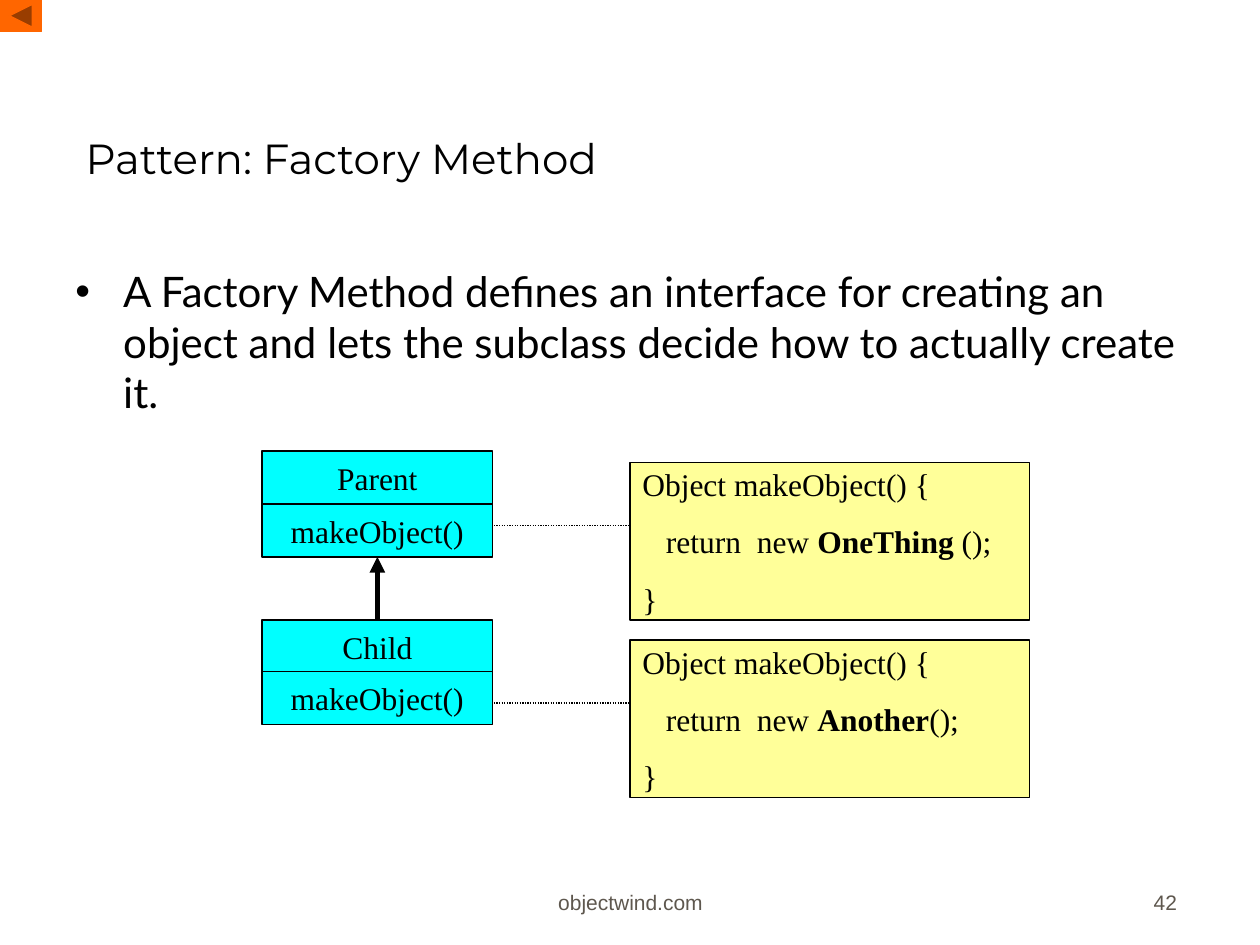
from lxml.etree import SubElement
from pptx import Presentation
from pptx.dml.color import RGBColor
from pptx.enum.dml import MSO_LINE
from pptx.enum.shapes import MSO_CONNECTOR, MSO_SHAPE
from pptx.enum.text import MSO_ANCHOR, MSO_AUTO_SIZE, PP_ALIGN
from pptx.oxml.ns import qn
from pptx.util import Inches, Pt

COLORS = {name: RGBColor.from_string(value) for name, value in {
    "ink": "000000", "class": "00FFFF", "note": "FFFF99",
    "button": "FF6600", "footer": "5E574E"}.items()}


def write(shape, lines, font, size, color="ink", align=PP_ALIGN.LEFT,
          anchor=MSO_ANCHOR.MIDDLE, gap=0):
    """Fill a shape with lines, each a list of (text, bold) runs."""
    frame = shape.text_frame
    frame_format = {"word_wrap": True, "auto_size": MSO_AUTO_SIZE.NONE,
                    "vertical_anchor": anchor}
    for name, value in frame_format.items():
        setattr(frame, name, value)
    for index, runs in enumerate(lines):
        paragraph = frame.add_paragraph() if index else frame.paragraphs[0]
        paragraph.alignment = align
        if index:
            paragraph.space_before = Pt(gap)
        for text, bold in runs:
            run = paragraph.add_run()
            run.text = text
            run_format = {"name": font, "size": Pt(size), "bold": bold}
            for name, value in run_format.items():
                setattr(run.font, name, value)
            run.font.color.rgb = COLORS[color]


def add_block(kind, left, top, width, height, fill, line="ink", weight=0.75):
    block = slide.shapes.add_shape(
        kind, Inches(left), Inches(top), Inches(width), Inches(height))
    block.shadow.inherit = False
    block.fill.solid()
    block.fill.fore_color.rgb = COLORS[fill]
    block.line.color.rgb = COLORS[line]
    block.line.width = Pt(weight)
    return block


prs = Presentation()
prs.slide_width, prs.slide_height = Inches(10), Inches(7.5)
slide = prs.slides.add_slide(prs.slide_layouts[5])

add_block(MSO_SHAPE.ACTION_BUTTON_BACK_OR_PREVIOUS, 0, 0, 0.33, 0.25,
          "button", "button", 1)

title = slide.shapes.title
title.left, title.top = Inches(0.58), Inches(0.25)
title.width, title.height = Inches(8.03), Inches(1.25)
write(title, [[("Pattern: Factory Method", False)]], "Montserrat", 24,
      anchor=MSO_ANCHOR.BOTTOM)

definition = slide.shapes.add_textbox(
    Inches(0.5), Inches(2.06), Inches(8.94), Inches(4.56))
bullet_props = definition.text_frame.paragraphs[0]._p.get_or_add_pPr()
bullet_props.set("marL", str(Inches(0.38)))
bullet_props.set("indent", str(-Inches(0.38)))
SubElement(bullet_props, qn("a:buFont"), typeface="Arial")
SubElement(bullet_props, qn("a:buChar"), char="•")
write(definition, [[("A Factory Method defines an interface for creating an object "
                     "and lets the subclass decide how to actually create it.", False)]],
      "Lato", 24, anchor=MSO_ANCHOR.TOP)

# Each class: name, top of its name row, top of its method row, note top,
# height of the dotted line, and the rest of the note's return statement.
classes = [
    ("Parent", 3.58, 4, 3.67, 4.17, "OneThing", " ();"),
    ("Child", 4.92, 5.33, 5.08, 5.58, "Another", "();"),
]
rows = {}
connectors = []
for class_name, name_top, method_top, note_top, link_y, product, ending in classes:
    for label, top in ((class_name, name_top), ("makeObject()", method_top)):
        row = add_block(MSO_SHAPE.RECTANGLE, 2.08, top, 1.83, 0.42, "class")
        write(row, [[(label, False)]], "Times New Roman", 18, align=PP_ALIGN.CENTER)
        rows[class_name, label] = row

    note = add_block(MSO_SHAPE.RECTANGLE, 5, note_top, 3.17, 1.25, "note")
    code = [[("Object makeObject() {", False)],
            [("   return  new ", False), (product, True), (ending, False)],
            [("}", False)]]
    write(note, code, "Times New Roman", 18, gap=11.2)

    link = slide.shapes.add_connector(
        MSO_CONNECTOR.STRAIGHT, Inches(3.92), Inches(link_y), Inches(5), Inches(link_y))
    link.line.dash_style = MSO_LINE.ROUND_DOT
    connectors.append((link, 0.75))

inheritance = slide.shapes.add_connector(
    MSO_CONNECTOR.STRAIGHT, Inches(3), Inches(4.92), Inches(3), Inches(4.42))
inheritance.begin_connect(rows["Child", "Child"], 0)
inheritance.end_connect(rows["Parent", "makeObject()"], 2)
connectors.append((inheritance, 3))

for connector, weight in connectors:
    connector.line.color.rgb = COLORS["ink"]
    connector.line.width = Pt(weight)
    SubElement(connector._element.spPr, qn("a:effectLst"))
SubElement(inheritance.line._get_or_add_ln(), qn("a:tailEnd"), type="triangle")

for text, left, width, align in (("objectwind.com", 3.42, 3.17, PP_ALIGN.CENTER),
                                 ("42", 7.36, 2.08, PP_ALIGN.RIGHT)):
    footer = slide.shapes.add_textbox(
        Inches(left), Inches(6.81), Inches(width), Inches(0.5))
    write(footer, [[(text, False)]], "Arial", 12, "footer", align, MSO_ANCHOR.BOTTOM)

prs.save("out.pptx")
